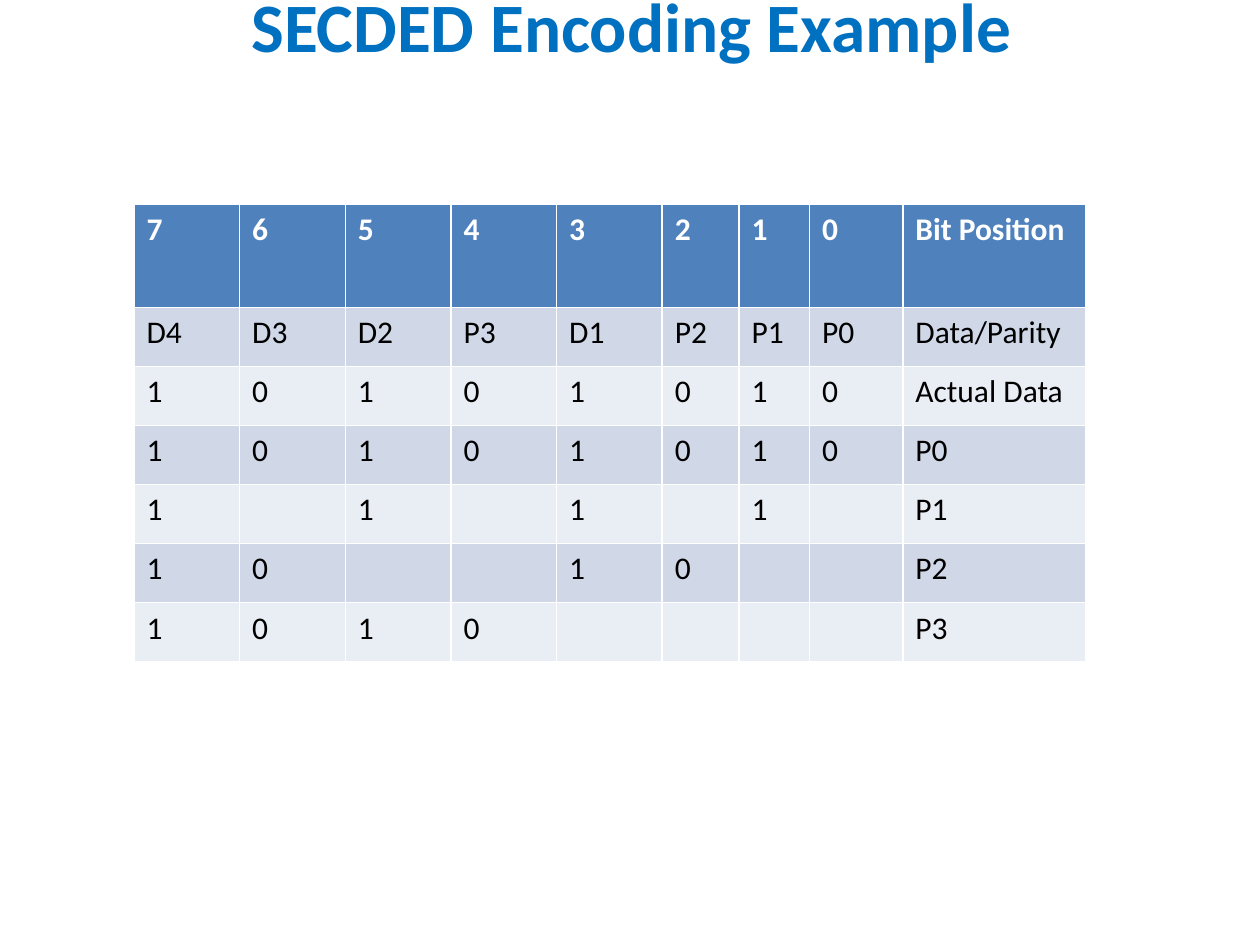
from pptx import Presentation
from pptx.dml.color import RGBColor
from pptx.enum.text import MSO_ANCHOR as Anchor, MSO_AUTO_SIZE as AutoSize, PP_ALIGN as Align
from pptx.util import Cm, Pt


def style_run(run, size, color, bold):
    run.font.name = "Calibri"
    run.font.size = Pt(size)
    run.font.bold = bold
    run.font.color.rgb = RGBColor.from_string(color)


deck = Presentation()
deck.slide_width, deck.slide_height = Cm(25.4), Cm(19.05)
slide = deck.slides.add_slide(deck.slide_layouts[6])

# Title, held near the top edge by a deep bottom margin
title = slide.shapes.add_textbox(Cm(1.3), Cm(0), Cm(22.86), Cm(2.72)).text_frame
title.word_wrap = True
title.auto_size = AutoSize.NONE
title.vertical_anchor = Anchor.MIDDLE
title.margin_bottom = Cm(1.83)
title.text = "SECDED Encoding Example"
title.paragraphs[0].alignment = Align.CENTER
style_run(title.paragraphs[0].runs[0], 39.6, "0070C0", True)

# Bits covered by each parity check
encoding = [
    ["7", "6", "5", "4", "3", "2", "1", "0", "Bit Position"],
    ["D4", "D3", "D2", "P3", "D1", "P2", "P1", "P0", "Data/Parity"],
    ["1", "0", "1", "0", "1", "0", "1", "0", "Actual Data"],
    ["1", "0", "1", "0", "1", "0", "1", "0", "P0"],
    ["1", "", "1", "", "1", "", "1", "", "P1"],
    ["1", "0", "", "", "1", "0", "", "", "P2"],
    ["1", "0", "1", "0", "", "", "", "", "P3"],
]
column_widths = [2.13] * 5 + [1.55, 1.42, 1.88, 3.68]
row_heights = [2.08] + [1.19] * 6

# Table; its default style draws the white rules
bits = slide.shapes.add_table(
    len(row_heights), len(column_widths), Cm(2.7), Cm(4.12),
    Cm(sum(column_widths)), Cm(sum(row_heights))).table
for column, width in zip(bits.columns, column_widths):
    column.width = Cm(width)

for r, (values, height) in enumerate(zip(encoding, row_heights)):
    bits.rows[r].height = Cm(height)
    is_header = r == 0
    band = "4F81BD" if is_header else ("E9EDF4", "D0D8E8")[r % 2]
    for c, value in enumerate(values):
        cell = bits.cell(r, c)
        cell.fill.solid()
        cell.fill.fore_color.rgb = RGBColor.from_string(band)
        cell.text_frame.text = value
        for run in cell.text_frame.paragraphs[0].runs:
            style_run(run, 18, "FFFFFF" if is_header else "000000", is_header)

deck.save("out.pptx")
